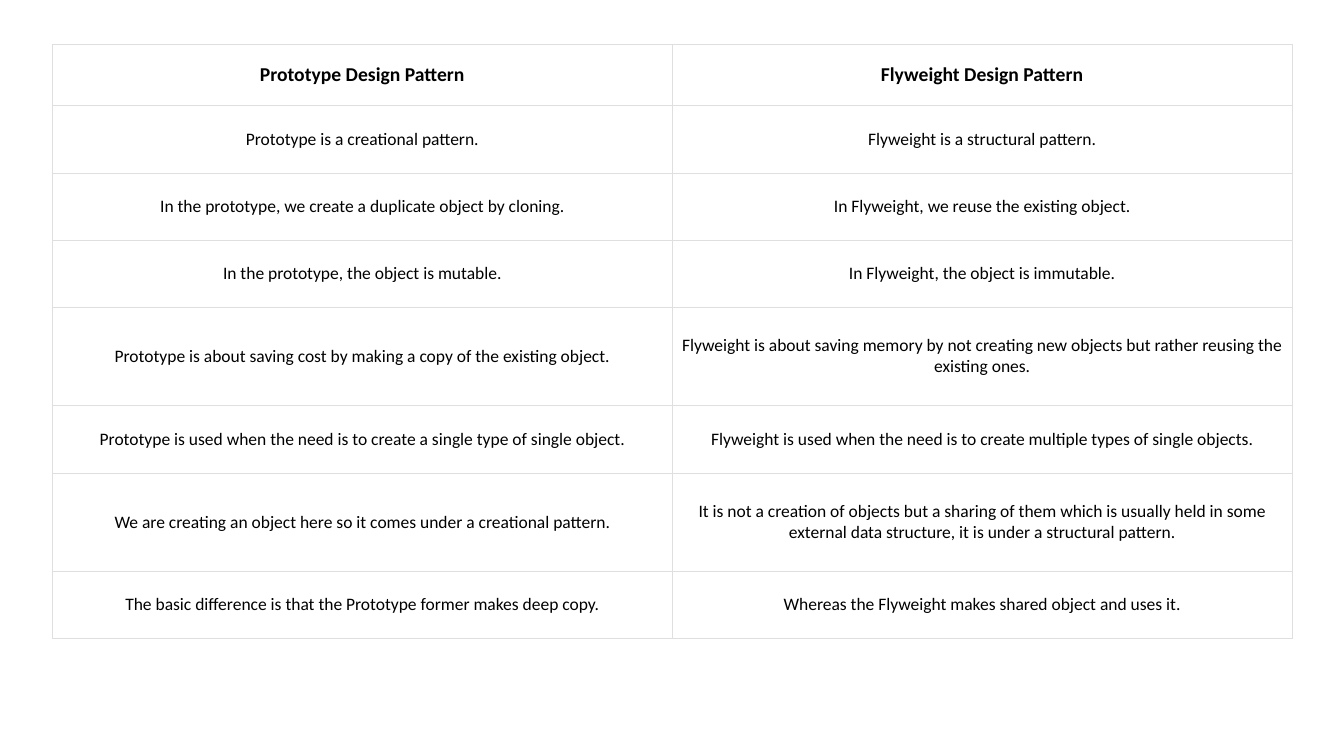
from lxml.etree import SubElement
from pptx import Presentation
from pptx.dml.color import RGBColor
from pptx.enum.text import MSO_ANCHOR, PP_ALIGN
from pptx.oxml.ns import qn
from pptx.util import Cm, Pt

HEADINGS = ("Prototype Design Pattern", "Flyweight Design Pattern")
DIFFERENCES = [
    ("Prototype is a creational pattern.",
     "Flyweight is a structural pattern."),
    ("In the prototype, we create a duplicate object by cloning.",
     "In Flyweight, we reuse the existing object."),
    ("In the prototype, the object is mutable.",
     "In Flyweight, the object is immutable."),
    ("Prototype is about saving cost by making a copy of the existing object.",
     "Flyweight is about saving memory by not creating new objects "
     "but rather reusing the existing ones."),
    ("Prototype is used when the need is to create a single type of single object.",
     "Flyweight is used when the need is to create multiple types of single objects."),
    ("We are creating an object here so it comes under a creational pattern.",
     "It is not a creation of objects but a sharing of them which is usually held "
     "in some external data structure, it is under a structural pattern."),
    ("The basic difference is that the Prototype former makes deep copy.",
     "Whereas the Flyweight makes shared object and uses it."),
]

# Row heights in cm
HEADING_HEIGHT, ONE_LINE, TWO_LINES = 1.54, 1.69, 2.49
TWO_LINE_ROWS = (4, 6)


def color(hex_code):
    return RGBColor.from_string(hex_code)


class ComparisonSlide:
    font_name = "Calibri"
    ink, paper, rule = "000000", "FFFFFF", "DFDFDF"
    heading_size, body_size = 14, 12.5
    rule_width = 0.18

    def __init__(self, presentation):
        self.slide = presentation.slides.add_slide(presentation.slide_layouts[6])

    def table(self, left, top, column_width, heights, rows):
        columns = len(rows[0])
        comparison = self.slide.shapes.add_table(
            len(rows), columns, Cm(left), Cm(top),
            Cm(column_width * columns), Cm(sum(heights))).table
        comparison.horz_banding = False
        for column in comparison.columns:
            column.width = Cm(column_width)
        for row, height, statements in zip(comparison.rows, heights, rows):
            row.height = Cm(height)
            for cell, statement in zip(row.cells, statements):
                self.cell(cell, statement, heading=statements is rows[0])
        # The first heading has narrower side margins
        first_heading = comparison.cell(0, 0)
        first_heading.margin_left = first_heading.margin_right = Cm(0.1)

    def cell(self, cell, statement, heading):
        self.borders(cell)
        cell.fill.solid()
        cell.fill.fore_color.rgb = color(self.paper)
        cell.vertical_anchor = MSO_ANCHOR.MIDDLE
        cell.margin_left = cell.margin_right = Cm(0.2)
        cell.margin_top = cell.margin_bottom = Cm(0.2 if heading else 0.3)
        paragraph = cell.text_frame.paragraphs[0]
        paragraph.text = statement
        paragraph.alignment = PP_ALIGN.CENTER
        font = paragraph.runs[0].font
        font.name = self.font_name
        font.size = Pt(self.heading_size if heading else self.body_size)
        font.bold = heading
        font.color.rgb = color(self.ink)

    def borders(self, cell):
        properties = cell._tc.get_or_add_tcPr()
        for side in ("a:lnL", "a:lnR", "a:lnT", "a:lnB"):
            border = SubElement(properties, qn(side), w=str(Pt(self.rule_width)))
            fill = SubElement(border, qn("a:solidFill"))
            SubElement(fill, qn("a:srgbClr"), val=self.rule)


def main():
    presentation = Presentation()
    presentation.slide_width, presentation.slide_height = Cm(33.87), Cm(19.05)

    # Comparison of the two patterns
    heights = [HEADING_HEIGHT] + [
        TWO_LINES if number in TWO_LINE_ROWS else ONE_LINE
        for number in range(1, len(DIFFERENCES) + 1)]
    ComparisonSlide(presentation).table(
        1.32, 1.12, 15.62, heights, [HEADINGS, *DIFFERENCES])

    presentation.save("out.pptx")


if __name__ == "__main__":
    main()
